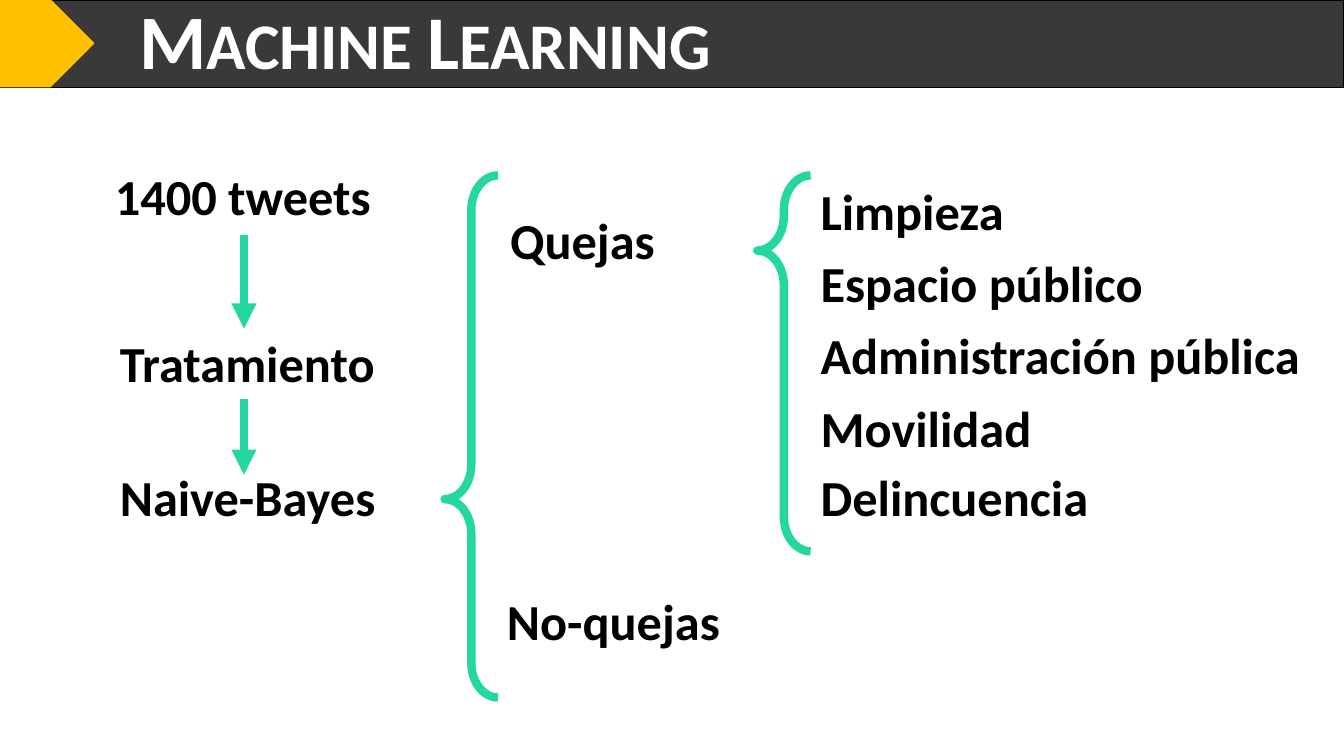
from dataclasses import dataclass

from lxml import etree
from pptx import Presentation
from pptx.dml.color import RGBColor
from pptx.enum.shapes import MSO_CONNECTOR, MSO_SHAPE
from pptx.enum.text import MSO_ANCHOR, MSO_AUTO_SIZE, PP_ALIGN
from pptx.oxml.ns import qn
from pptx.util import Emu, Pt

EMU_PER_PX = 9144  # 100 px to the inch
SLIDE_SIZE = (1333, 750)
TITLE_ONLY = 5

STRAIGHT = MSO_CONNECTOR.STRAIGHT
PENTAGON, LEFT_BRACE = MSO_SHAPE.PENTAGON, MSO_SHAPE.LEFT_BRACE
BOTTOM, LEFT = MSO_ANCHOR.BOTTOM, PP_ALIGN.LEFT
FIXED, GROW = MSO_AUTO_SIZE.NONE, MSO_AUTO_SIZE.SHAPE_TO_FIT_TEXT


@dataclass(frozen=True)
class Theme:
    font: str = "Calibri"
    band: RGBColor = RGBColor.from_string("3B3838")
    tab: RGBColor = RGBColor.from_string("FFC000")
    flow: RGBColor = RGBColor.from_string("24D69F")
    text: RGBColor = RGBColor.from_string("000000")
    title_text: RGBColor = RGBColor.from_string("FFFFFF")
    label_size: float = 36
    small_cap_size: float = 46.5
    first_cap_size: float = 55
    second_cap_size: float = 54.2
    thin: float = 1
    thick: float = 6


def px(length):
    return Emu(length * EMU_PER_PX)


def apply(target, values):
    for name, value in values.items():
        setattr(target, name, value)


class SlideBuilder:
    def __init__(self, slide, theme):
        self.slide, self.theme = slide, theme

    def style_run(self, run, size, color):
        apply(run.font, {"name": self.theme.font, "size": Pt(size), "bold": True})
        run.font.color.rgb = color

    def style_line(self, line, color, width):
        line.color.rgb = color
        line.width = Pt(width)

    def title(self, box, pieces):
        """Turn the title placeholder into the band, with one run per piece."""
        band = self.slide.shapes.title
        apply(band, dict(zip(("left", "top", "width", "height"), map(px, box))))
        band.fill.solid()
        band.fill.fore_color.rgb = self.theme.band
        self.style_line(band.line, self.theme.text, self.theme.thin)
        apply(band.text_frame, {
            "auto_size": FIXED, "vertical_anchor": BOTTOM, "word_wrap": True,
            "margin_left": px(138), "margin_top": px(12),
            "margin_right": px(10), "margin_bottom": px(5),
        })
        heading = band.text_frame.paragraphs[0]
        apply(heading, {"alignment": LEFT, "line_spacing": 0.7})
        for words, size in pieces:
            run = heading.add_run()
            run.text = words
            self.style_run(run, size, self.theme.title_text)

    def shape(self, kind, box, color, width, filled=False, adjustments=()):
        shape = self.slide.shapes.add_shape(kind, *map(px, box))
        shape.shadow.inherit = False
        if filled:
            shape.fill.solid()
            shape.fill.fore_color.rgb = color
        else:
            shape.fill.background()
        self.style_line(shape.line, color, width)
        for index, value in enumerate(adjustments):
            shape.adjustments[index] = value

    def brace(self, box, adjustments):
        self.shape(LEFT_BRACE, box, self.theme.flow, self.theme.thick,
                   adjustments=adjustments)

    def label(self, words, left, top, width):
        box = self.slide.shapes.add_textbox(*map(px, (left, top, width, 71)))
        apply(box.text_frame, {"word_wrap": True, "auto_size": GROW})
        run = box.text_frame.paragraphs[0].add_run()
        run.text = words
        self.style_run(run, self.theme.label_size, self.theme.text)

    def down_arrow(self, x, top, bottom):
        arrow = self.slide.shapes.add_connector(
            STRAIGHT, *map(px, (x, top, x, bottom)))
        self.style_line(arrow.line, self.theme.flow, self.theme.thick)
        properties = arrow._element.spPr
        etree.SubElement(properties.find(qn("a:ln")), qn("a:tailEnd"), type="triangle")
        etree.SubElement(properties, qn("a:effectLst"))


def main():
    deck = Presentation()
    deck.slide_width, deck.slide_height = map(px, SLIDE_SIZE)
    theme = Theme()
    slide = deck.slides.add_slide(deck.slide_layouts[TITLE_ONLY])
    builder = SlideBuilder(slide, theme)

    builder.title((0, 0, 1333, 87), [
        ("M", theme.first_cap_size), ("ACHINE ", theme.small_cap_size),
        ("L", theme.second_cap_size), ("EARNING", theme.small_cap_size),
    ])
    builder.shape(PENTAGON, (0, 0, 93, 86), theme.tab, theme.thin, filled=True)

    steps = [("1400 tweets", 104, 159), ("Tratamiento", 109, 325),
             ("Naive-Bayes", 109, 457)]
    classes = [("Quejas", 496, 203), ("No-quejas", 493, 581)]
    for words, left, top in steps + classes:
        builder.label(words, left, top, 298)

    topics = [("Limpieza", 174), ("Espacio público", 245),
              ("Administración pública", 317), ("Movilidad", 389),
              ("Delincuencia", 457)]
    for words, top in topics:
        builder.label(words, 804, top, 546)

    for top, bottom in [(233, 326), (396, 471)]:
        builder.down_arrow(242, top, bottom)
    builder.brace((441, 174, 53, 518), (0.65, 0.62))
    builder.brace((751, 174, 53, 373), (0.65, 0.2))

    deck.save("out.pptx")


if __name__ == "__main__":
    main()
